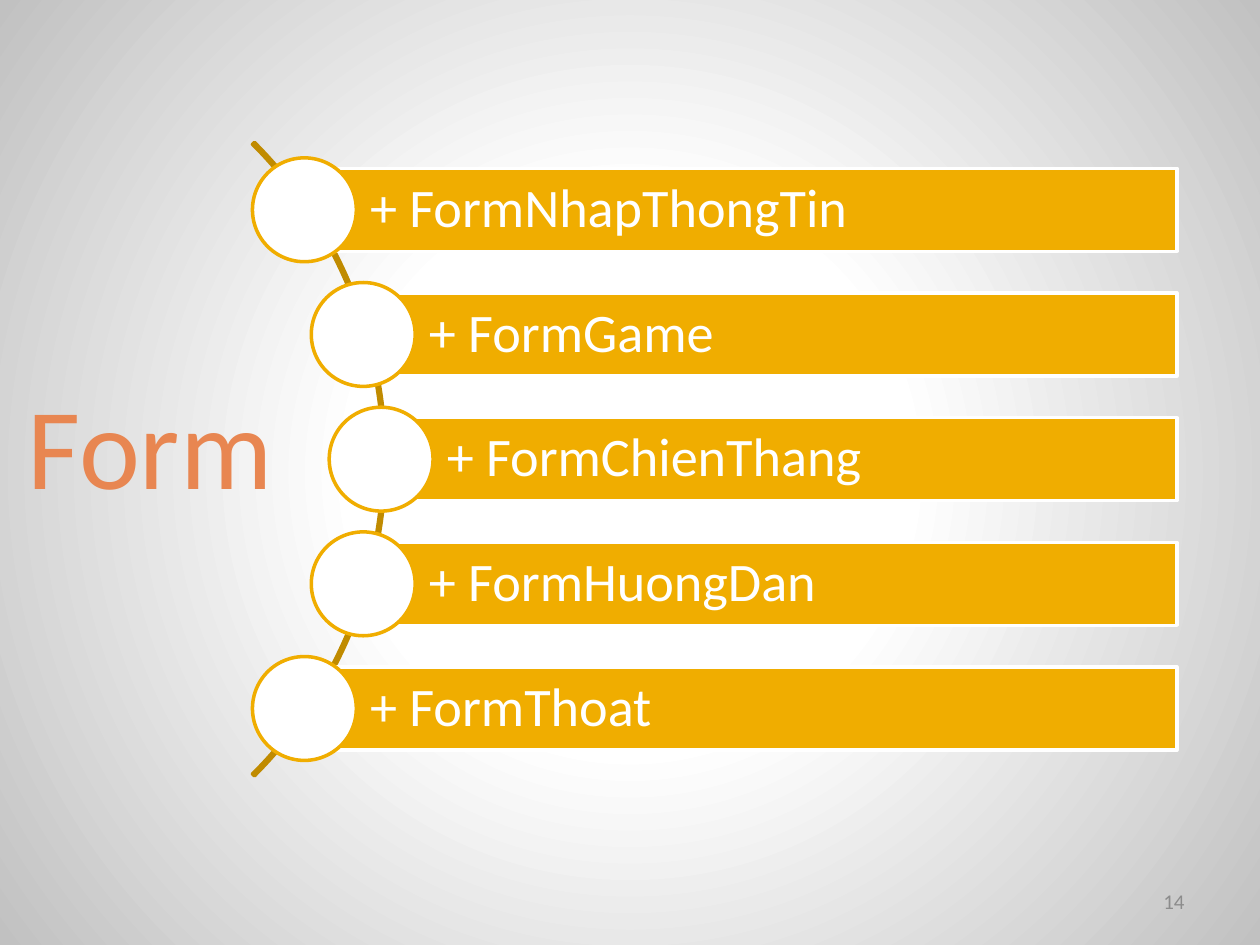
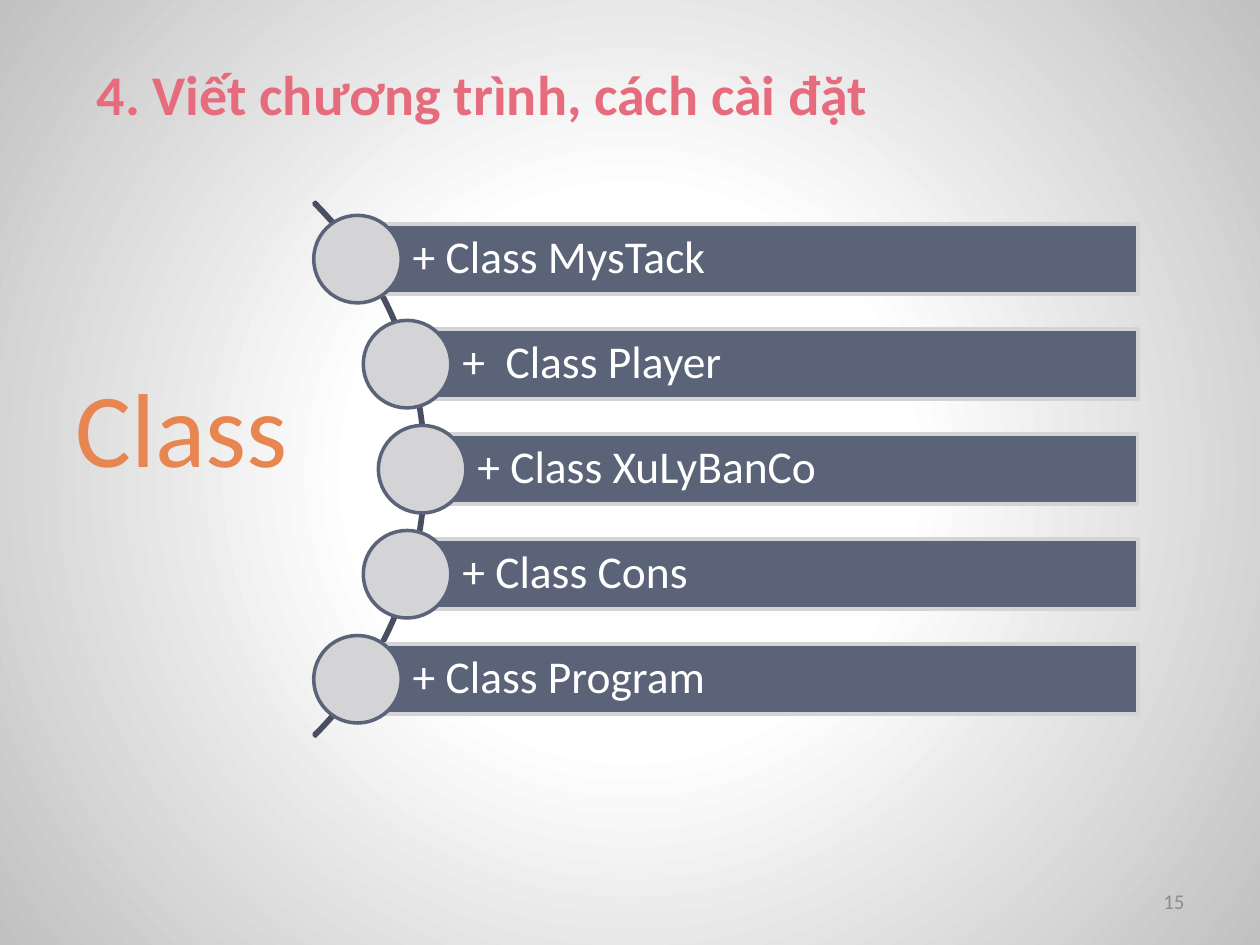
import math

from lxml import etree
from pptx import Presentation
from pptx import util as u
from pptx.dml.color import RGBColor
from pptx.enum import shapes, text
from pptx.oxml import ns

Pt = u.Pt
FONT = "Calibri"
COLORS = {
    "white": "FFFFFF", "edge": "C1C1C1", "number": "8C8C8C", "heading": "E66C7D",
    "amber": "F0AD00", "dark_amber": "C08B00",
    "slate": "5A6378", "dark_slate": "484F60", "silver": "D4D4D6",
    "rust": "8A3C12", "orange": "E88651", "peach": "F1B697",
}
TITLE_ONLY, BLANK_MARGIN = 5, (7.2, 3.6, 7.2, 3.6)
FIRST_NUMBER = 14
BAR_SHARE, CIRCLE_SCALE, PITCH_SCALE, INDENT_SCALE = 0.1312, 1.25, 1.5, 0.79

SLIDES = [
    {
        "caption": "Form", "caption_box": (8.6, 210.2, 174.2, 87.1), "caption_size": 66,
        "fan_box": (145.4, 81.4, 527.1, 362), "item_size": 31,
        "palette": ("amber", "dark_amber", "white"),
        "items": ["+ FormNhapThongTin", "+ FormGame", "+ FormChienThang",
                  "+ FormHuongDan", "+ FormThoat"],
    },
    {
        "heading": "4. Viết chương trình, cách cài đặt",
        "caption": "Class", "caption_box": (36, 203.8, 149.8, 79.9), "caption_size": 60,
        "fan_box": (180.2, 115.6, 470, 305), "item_size": 26,
        "palette": ("slate", "dark_slate", "silver"),
        "items": ["+ Class MysTack", "+  Class Player", "+ Class XuLyBanCo",
                  "+ Class Cons", "+ Class Program"],
    },
]


def rgb(name):
    return RGBColor.from_string(COLORS[name])


def set_gradient(fill, owner, stops, circular=False):
    fill.gradient()
    gradient = owner.find(".//" + ns.qn("a:gradFill"))
    for child in list(gradient):
        gradient.remove(child)
    stop_list = etree.SubElement(gradient, ns.qn("a:gsLst"))
    for position, name in stops:
        stop = etree.SubElement(stop_list, ns.qn("a:gs"), pos=str(position * 1000))
        etree.SubElement(stop, ns.qn("a:srgbClr"), val=COLORS[name])
    if circular:
        shade = etree.SubElement(gradient, ns.qn("a:path"), path="circle")
        etree.SubElement(shade, ns.qn("a:fillToRect"),
                         dict.fromkeys("ltrb", "50000"))
    else:
        etree.SubElement(gradient, ns.qn("a:lin"), ang="5400000", scaled="0")


def write(shape, content, size, color, margins=BLANK_MARGIN, align=text.PP_ALIGN.LEFT,
          anchor=text.MSO_ANCHOR.TOP, wrap=True, bold=False):
    frame = shape.text_frame
    frame.auto_size = text.MSO_AUTO_SIZE.NONE
    frame.word_wrap = wrap
    frame.vertical_anchor = anchor
    (frame.margin_left, frame.margin_top,
     frame.margin_right, frame.margin_bottom) = map(Pt, margins)
    paragraph = frame.paragraphs[0]
    paragraph.text = content
    paragraph.alignment = align
    paragraph.font.name = FONT
    paragraph.font.size = Pt(size)
    paragraph.font.bold = bold
    paragraph.font.color.rgb = rgb(color)
    return paragraph


def add_filled(slide, kind, box, fill, line):
    shape = slide.shapes.add_shape(kind, *map(Pt, box))
    shape.shadow.inherit = False
    shape.line.color.rgb = rgb(line)
    shape.line.width = Pt(2)
    if fill:
        shape.fill.solid()
        shape.fill.fore_color.rgb = rgb(fill)
    else:
        shape.fill.background()
    return shape


def add_fan(slide, box, items, size, palette):
    left, top, width, height = box
    main, dark, light = palette
    bar = height * BAR_SHARE
    circle = bar * CIRCLE_SCALE
    diameter = height * math.sqrt(2)
    center_x, center_y = left - height / 2, top + height / 2
    radius = diameter / 2 * 0.99

    arc = add_filled(slide, shapes.MSO_SHAPE.BLOCK_ARC,
                     (center_x - diameter / 2, center_y - diameter / 2, diameter, diameter),
                     None, dark)
    for index, value in enumerate((189, 27, 0.003)):
        arc.adjustments[index] = value

    for index, item in enumerate(items):
        offset = (index - (len(items) - 1) / 2) * bar * PITCH_SCALE
        bar_x = center_x + math.sqrt(radius ** 2 - offset ** 2)
        bar_y = center_y + offset
        strip = add_filled(slide, shapes.MSO_SHAPE.RECTANGLE,
                           (bar_x, bar_y - bar / 2, left + width - bar_x, bar), main, light)
        pad = size * 0.2
        paragraph = write(strip, item, size, "white", (bar * INDENT_SCALE, pad, pad, pad),
                          anchor=text.MSO_ANCHOR.MIDDLE)
        paragraph.line_spacing = 0.9
        add_filled(slide, shapes.MSO_SHAPE.OVAL,
                   (bar_x - circle / 2, bar_y - circle / 2, circle, circle), light, main)


def place(shape, box):
    shape.left, shape.top, shape.width, shape.height = map(Pt, box)


def add_caption(shape, box, caption, size):
    place(shape, box)
    paragraph = write(shape, caption, size, "orange", wrap=False)
    run = paragraph.runs[0]
    set_gradient(run.font.fill, run._r, [(0, "rust"), (50, "orange"), (100, "peach")])


def add_heading(shape, box, heading):
    place(shape, box)
    write(shape, heading, 32, "heading", bold=True)


def add_number(slide, box, number):
    write(slide.shapes.add_textbox(*map(Pt, box)), str(number), 12, "number",
          align=text.PP_ALIGN.RIGHT, anchor=text.MSO_ANCHOR.MIDDLE)


def add_fan_slide(prs, content, number):
    slide = prs.slides.add_slide(prs.slide_layouts[TITLE_ONLY])
    add_fan(slide, content["fan_box"], content["items"], content["item_size"],
            content["palette"])
    caption_shape = slide.shapes.title
    if "heading" in content:
        add_heading(slide.shapes.title, (48.2, 30.2, 522, 46.1), content["heading"])
        caption_shape = slide.shapes.add_textbox(*map(Pt, content["caption_box"]))
    add_caption(caption_shape, content["caption_box"], content["caption"],
                content["caption_size"])
    add_number(slide, (516.2, 500.4, 167.8, 28.8), number)


def main():
    prs = Presentation()
    prs.slide_width, prs.slide_height = Pt(720), Pt(540)
    master = prs.slide_master
    set_gradient(master.background.fill, master.element.find(".//" + ns.qn("p:bg")),
                 [(35, "white"), (100, "edge")], circular=True)
    for number, content in enumerate(SLIDES, FIRST_NUMBER):
        add_fan_slide(prs, content, number)
    prs.save("out.pptx")


if __name__ == "__main__":
    main()
